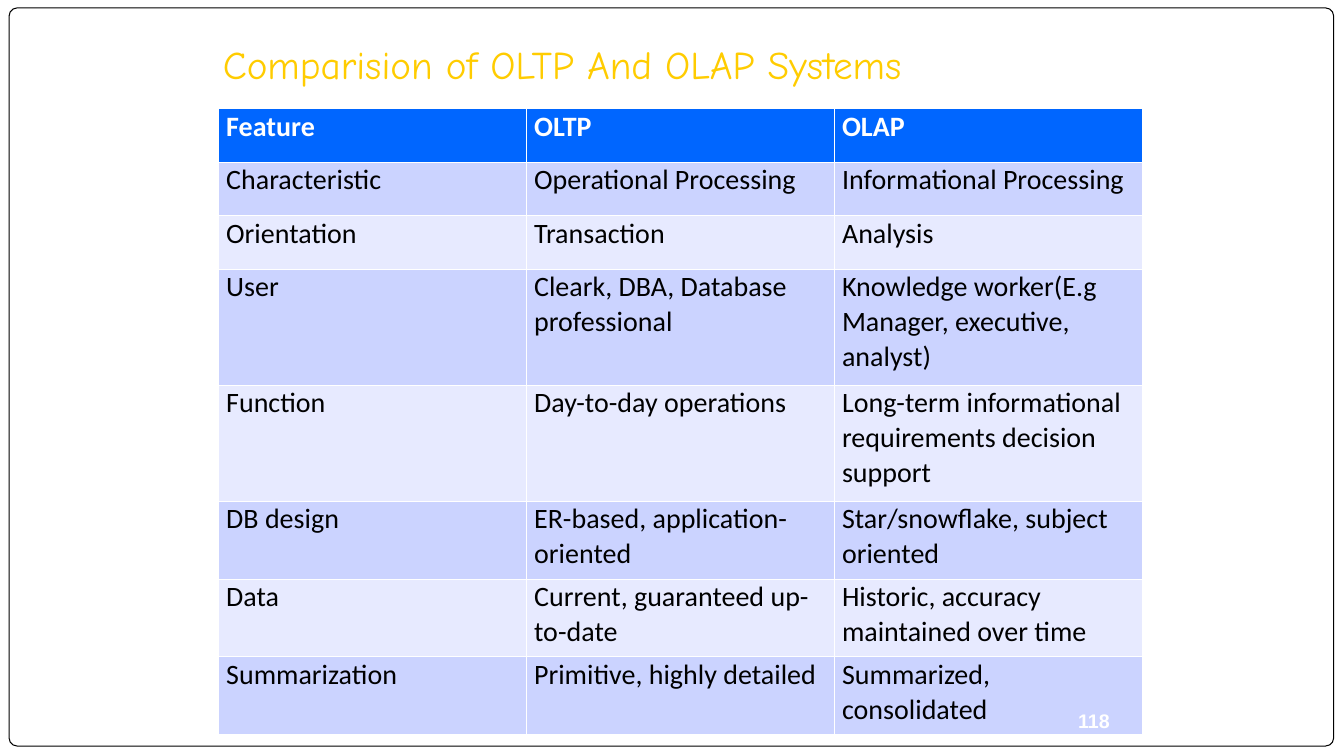
from dataclasses import dataclass

from lxml.etree import SubElement as Sub
from pptx import Presentation
from pptx.dml.color import RGBColor as RGB
from pptx.enum.shapes import MSO_SHAPE as Shape
from pptx.enum.text import MSO_ANCHOR as Anchor, MSO_AUTO_SIZE as Auto, PP_ALIGN as Align
from pptx.oxml.ns import qn
from pptx.util import Cm, Pt

TITLE = "Comparision of OLTP And OLAP Systems"
NUMBER = "118"
ROWS = [
    ("Feature", "OLTP", "OLAP"),
    ("Characteristic", "Operational Processing", "Informational Processing"),
    ("Orientation", "Transaction", "Analysis"),
    ("User", "Cleark, DBA, Database professional",
     "Knowledge worker(E.g Manager, executive, analyst)"),
    ("Function", "Day-to-day operations",
     "Long-term informational requirements decision support"),
    ("DB design", "ER-based, application-oriented", "Star/snowflake, subject oriented"),
    ("Data", "Current, guaranteed up-to-date", "Historic, accuracy maintained over time"),
    ("Summarization", "Primitive, highly detailed", "Summarized, consolidated"),
]
HEIGHTS = [1.35] * 3 + [2.92] * 2 + [1.96] * 3
WIDTH = 7.76


@dataclass(frozen=True)
class Theme:
    white: str = "FFFFFF"
    black: str = "000000"
    gold: str = "FFCC00"
    head: str = "0066FF"
    bands: tuple = ("E7EAFF", "CBD3FF")
    big: int = 28
    body: int = 20
    small: int = 14
    line: float = 0.75


LOOK = Theme()


def box(*sizes):
    return [Cm(size) for size in sizes]


def paint(fill, color):
    fill.solid()
    fill.fore_color.rgb = RGB.from_string(color)


def write(frame, text, font, size, color, bold=False, align=Align.LEFT, space=None):
    frame.word_wrap = True
    para = frame.paragraphs[0]
    para.alignment = align
    if space:
        para.line_spacing = space
    run = para.add_run()
    run.text = text
    run.font.name, run.font.size, run.font.bold = font, Pt(size), bold
    run.font.color.rgb = RGB.from_string(color)


def edge(cell):
    """Draw the four borders; call before the cell is filled."""
    props = cell._tc.get_or_add_tcPr()
    for side in ("lnL", "lnR", "lnT", "lnB"):
        line = Sub(props, qn("a:" + side), w=str(Pt(LOOK.line)))
        Sub(Sub(line, qn("a:solidFill")), qn("a:srgbClr"), val=LOOK.white)


def add_frame(slide):
    frame = slide.shapes.add_shape(Shape.ROUNDED_RECTANGLE, *box(0.23, 0.2, 33.38, 18.6))
    frame.adjustments[0] = 0.011
    frame.shadow.inherit = False
    paint(frame.fill, LOOK.white)
    paint(frame.line.fill, LOOK.black)
    frame.line.width = Pt(LOOK.line)
    slide.shapes._spTree.insert(2, frame._element)  # behind the title


def add_title(slide):
    title = slide.shapes.title
    title.left, title.top, title.width, title.height = box(5.36, 0.64, 21.59, 1.7)
    title.text_frame.auto_size = Auto.NONE
    title.text_frame.vertical_anchor = Anchor.BOTTOM
    write(title.text_frame, TITLE, "Comic Neue", LOOK.big, LOOK.gold)


def add_grid(slide):
    count = len(ROWS[0])
    area = box(5.51, 2.74, WIDTH * count, sum(HEIGHTS))
    table = slide.shapes.add_table(len(ROWS), count, *area).table
    for col in table.columns:
        col.width = Cm(WIDTH)
    for i, (texts, height) in enumerate(zip(ROWS, HEIGHTS)):
        table.rows[i].height = Cm(height)
        top = i == 0
        for j, text in enumerate(texts):
            cell = table.cell(i, j)
            cell.margin_left = cell.margin_right = Cm(0.19)
            cell.margin_top = cell.margin_bottom = 0
            edge(cell)
            paint(cell.fill, LOOK.head if top else LOOK.bands[i % 2])
            write(cell.text_frame, text, "Calibri", LOOK.body,
                  LOOK.white if top else LOOK.black, bold=top, space=1.02)


def add_number(slide):
    frame = slide.shapes.add_textbox(*box(22.94, 17.3, 5.28, 1.27)).text_frame
    frame.vertical_anchor = Anchor.BOTTOM
    write(frame, NUMBER, "Arial", LOOK.small, LOOK.white, bold=True, align=Align.RIGHT)


def main():
    deck = Presentation()
    deck.slide_width, deck.slide_height = box(33.87, 19.05)
    slide = deck.slides.add_slide(deck.slide_layouts[5])
    add_frame(slide)
    add_title(slide)
    add_grid(slide)
    add_number(slide)
    deck.save("out.pptx")


if __name__ == "__main__":
    main()
